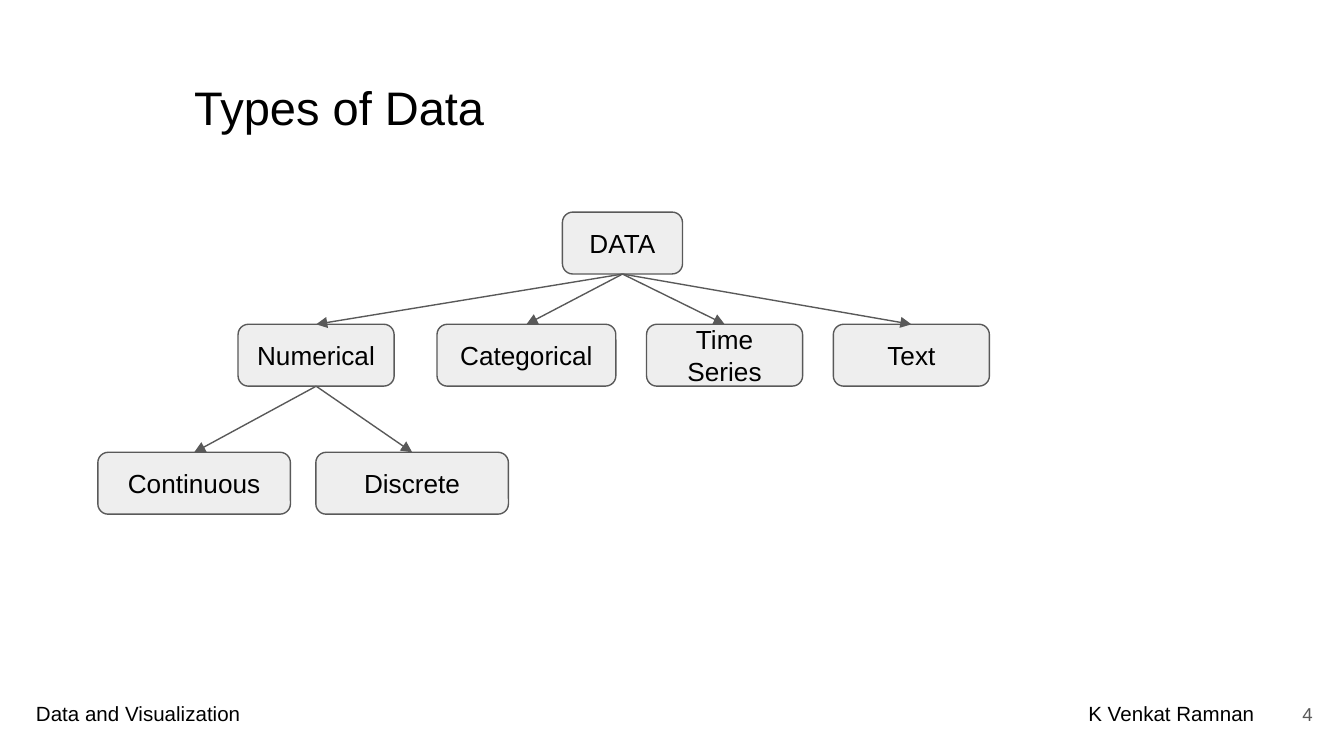
from dataclasses import dataclass

from lxml import etree
from pptx import Presentation
from pptx.dml.color import RGBColor
from pptx.enum.shapes import MSO_CONNECTOR, MSO_SHAPE
from pptx.enum.text import MSO_ANCHOR, MSO_AUTO_SIZE, PP_ALIGN
from pptx.oxml.ns import qn
from pptx.util import Cm, Pt

ROUNDED, STRAIGHT = MSO_SHAPE.ROUNDED_RECTANGLE, MSO_CONNECTOR.STRAIGHT
TOP, MIDDLE = MSO_ANCHOR.TOP, MSO_ANCHOR.MIDDLE
LEFT, CENTER, RIGHT = PP_ALIGN.LEFT, PP_ALIGN.CENTER, PP_ALIGN.RIGHT
TOP_SITE, BOTTOM_SITE = 0, 2


@dataclass(frozen=True)
class Theme:
    """Colours, font and type sizes of the deck."""
    font: str = "Arial"
    text: RGBColor = RGBColor(0x00, 0x00, 0x00)
    line: RGBColor = RGBColor(0x59, 0x59, 0x59)
    node: RGBColor = RGBColor(0xEE, 0xEE, 0xEE)
    title_size: float = 25.2
    node_size: float = 14
    footer_size: float = 11
    number_size: float = 10
    line_width: float = 0.75


THEME = Theme()
INSET = Cm(0.25)
TITLE_INDENT = Cm(2.8)
NODE_HEIGHT = 1.17
LEVEL_TOPS = (4.01, 6.13, 8.55)
TREE = ("DATA", 10.63, 2.27, [
    ("Numerical", 4.5, 2.95, [
        ("Continuous", 1.85, 3.64, []),
        ("Discrete", 5.97, 3.64, []),
    ]),
    ("Categorical", 8.26, 3.38, []),
    ("Time Series", 12.22, 2.95, []),
    ("Text", 15.75, 2.95, []),
])
FOOTERS = [
    ("Data and Visualization", (0.43, 13, 4.57, 1), THEME.footer_size, THEME.text, LEFT, TOP),
    ("K Venkat Ramnan", (20.32, 13, 4.75, 1), THEME.footer_size, THEME.text, LEFT, TOP),
    ("4", (23.54, 12.95, 1.52, 1.09), THEME.number_size, THEME.line, RIGHT, MIDDLE),
]


def apply(target, values):
    """Set each named attribute of the target."""
    for name, value in values.items():
        setattr(target, name, value)


def write(box, text, size, color=THEME.text, align=LEFT, anchor=TOP, indent=INSET):
    """Fill a shape with one formatted paragraph."""
    frame = box.text_frame
    apply(frame, {
        "word_wrap": True, "auto_size": MSO_AUTO_SIZE.NONE, "vertical_anchor": anchor,
        "margin_left": indent, "margin_right": INSET,
        "margin_top": INSET, "margin_bottom": INSET,
    })
    para = frame.paragraphs[0]
    para.alignment = align
    span = para.add_run()
    span.text = text
    apply(span.font, {"name": THEME.font, "size": Pt(size)})
    span.font.color.rgb = color


def add_title(page, text):
    """Place and fill the title placeholder."""
    title = page.shapes.title
    apply(title, {"left": Cm(0.87), "top": Cm(1.24), "width": Cm(23.67), "height": Cm(1.6)})
    write(title, text, THEME.title_size, indent=TITLE_INDENT)


def add_label(page, text, place, size, color, align, anchor):
    """Add a text box of the footer."""
    box = page.shapes.add_textbox(*map(Cm, place))
    write(box, text, size, color, align, anchor)


def style_line(line):
    """Give an outline or arrow the line style of the theme."""
    line.color.rgb = THEME.line
    line.width = Pt(THEME.line_width)


def add_node(page, text, left, top, width):
    """Add one rounded box of the tree."""
    node = page.shapes.add_shape(ROUNDED, Cm(left), Cm(top), Cm(width), Cm(NODE_HEIGHT))
    node.shadow.inherit = False
    node.fill.solid()
    node.fill.fore_color.rgb = THEME.node
    style_line(node.line)
    write(node, text, THEME.node_size, align=CENTER, anchor=MIDDLE)
    return node


def add_arrow(page, parent, child):
    """Connect the bottom of a parent to the top of its child."""
    arrow = page.shapes.add_connector(STRAIGHT, 0, 0, 0, 0)
    arrow.begin_connect(parent, BOTTOM_SITE)
    arrow.end_connect(child, TOP_SITE)
    style_line(arrow.line)
    etree.SubElement(arrow.line._get_or_add_ln(), qn("a:tailEnd"), type="triangle")
    etree.SubElement(arrow._element.spPr, qn("a:effectLst"))


def add_tree(page, branch, level=0):
    """Draw a branch with its children and return its top node."""
    text, left, width, children = branch
    node = add_node(page, text, left, LEVEL_TOPS[level], width)
    for child in children:
        add_arrow(page, node, add_tree(page, child, level + 1))
    return node


def main():
    """Build and save the deck."""
    deck = Presentation()
    apply(deck, {"slide_width": Cm(25.4), "slide_height": Cm(14.29)})
    page = deck.slides.add_slide(deck.slide_layouts.get_by_name("Title Only"))
    add_title(page, "Types of Data")
    add_tree(page, TREE)
    for footer in FOOTERS:
        add_label(page, *footer)
    deck.save("out.pptx")


if __name__ == "__main__":
    main()
